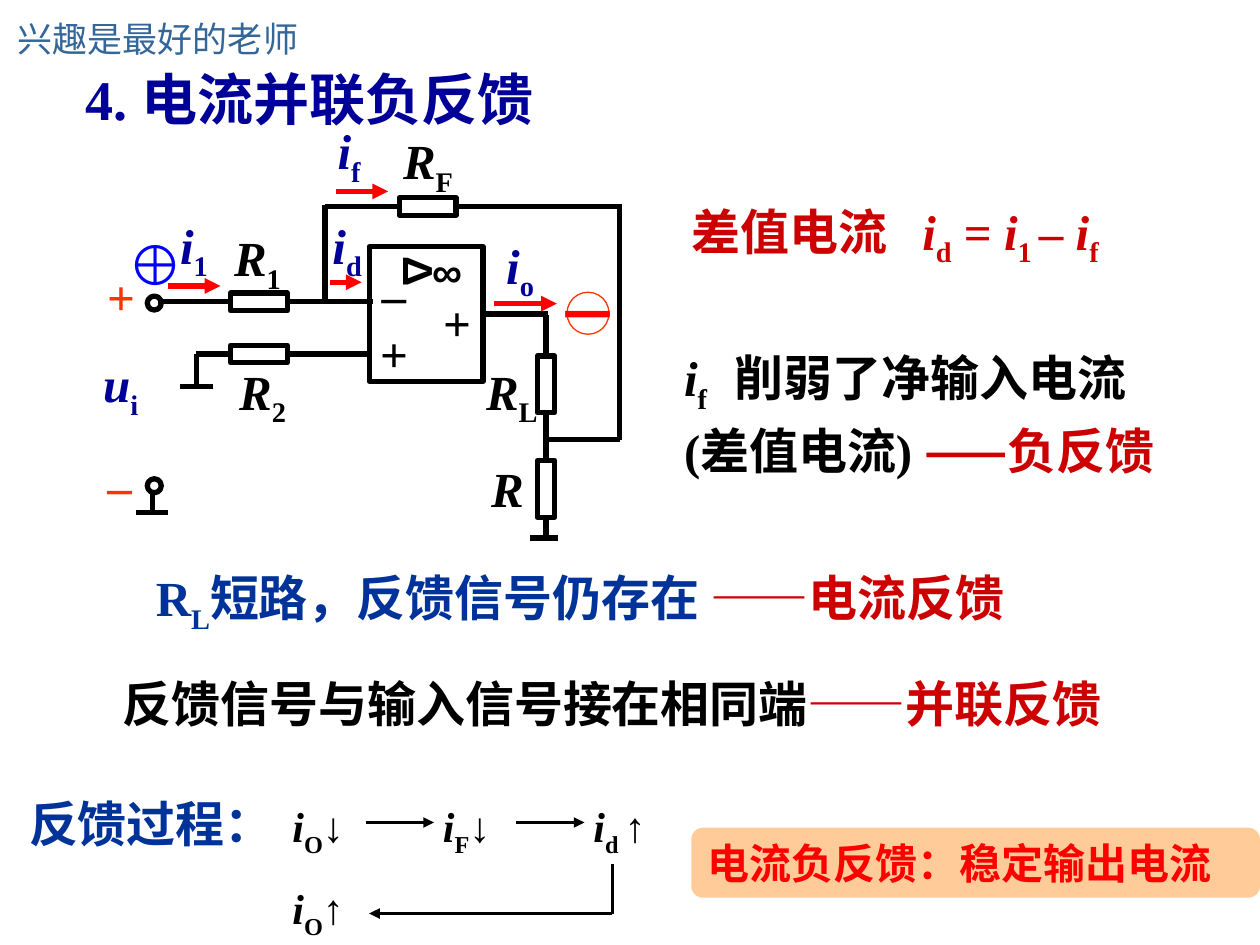
import lxml.etree
import pptx
import pptx.dml.color
import pptx.enum.shapes
import pptx.enum.text
import pptx.util

Pt = pptx.util.Pt
KIND = pptx.enum.shapes.MSO_SHAPE
ALIGN = pptx.enum.text.PP_ALIGN
MID = pptx.enum.text.MSO_ANCHOR.MIDDLE
FIT = pptx.enum.text.MSO_AUTO_SIZE.NONE
NS = "{http://schemas.openxmlformats.org/drawingml/2006/main}"
SERIF, SANS, PLAIN = "Times New Roman", "Noto Sans CJK SC", "Arial"
BLACK, NAVY, BLUE = "000000", "000099", "003399"
RED, DARK, WARM = "FF0000", "CC0000", "FF3300"


def hue(code):
    """Turn a hex string into a colour."""
    return pptx.dml.color.RGBColor.from_string(code)


class Board:
    """Hold the style and the current slide."""

    def __init__(self, deck):
        """Add a slide that has only a title."""
        self.slide = deck.slides.add_slide(deck.slide_layouts[5])
        self.shapes = self.slide.shapes

    def label(self, frame, runs, size=28, color=BLACK, face=SERIF, bold=True,
              align=ALIGN.LEFT, space=None, tab=None, wrap=True):
        """Fill a frame with one paragraph of (text, style, font, colour) runs."""
        frame.word_wrap = wrap
        frame.auto_size = FIT
        para = frame.paragraphs[0]
        para.alignment = align
        if space:
            para.line_spacing = space
        if tab:
            stops = lxml.etree.SubElement(para._p.get_or_add_pPr(), NS + "tabLst")
            lxml.etree.SubElement(stops, NS + "tab", pos=str(Pt(tab)), algn="l")
        para.font.size = Pt(size)
        para.font.bold = bold
        para.font.name = face
        para.font.color.rgb = hue(color)
        for text, style, font, tint in runs:
            run = para.add_run()
            run.text = text
            if style == "it":
                run.font.italic = True
            if style == "sub":
                run._r.get_or_add_rPr().set("baseline", "-25000")
            if font:
                run.font.name = font
            if tint:
                run.font.color.rgb = hue(tint)

    def title(self, x, y, w, h, runs, **look):
        """Place and fill the title."""
        box = self.shapes.title
        box.left, box.top, box.width, box.height = map(Pt, (x, y, w, h))
        box.text_frame.vertical_anchor = MID
        self.label(box.text_frame, runs, **look)

    def text(self, x, y, w, h, runs, **look):
        """Add a text box."""
        box = self.shapes.add_textbox(*map(Pt, (x, y, w, h)))
        self.label(box.text_frame, runs, **look)
        return box

    def sign(self, x, y, w, base, sub="", **look):
        """Add an italic symbol with an index."""
        runs = [run(base, "it")] + ([run(sub, "sub")] if sub else [])
        self.text(x, y, w, 45, runs, **look)

    def shape(self, kind, x, y, w, h, line=BLACK, width=3, fill=None):
        """Add a preset shape."""
        item = self.shapes.add_shape(kind, *map(Pt, (x, y, w, h)))
        item.shadow.inherit = False
        if fill:
            item.fill.solid()
            item.fill.fore_color.rgb = hue(fill)
        else:
            item.fill.background()
        if line:
            item.line.color.rgb = hue(line)
            item.line.width = Pt(width)
        else:
            item.line.fill.background()
        return item

    def wire(self, x1, y1, x2, y2, start=None, stop=None,
             color=BLACK, width=3, arrow=False):
        """Add a line, joined to (shape, side) pairs if given."""
        item = self.shapes.add_connector(
            pptx.enum.shapes.MSO_CONNECTOR.STRAIGHT, *map(Pt, (x1, y1, x2, y2)))
        item.line.color.rgb = hue(color)
        item.line.width = Pt(width)
        if start:
            item.begin_connect(*start)
        if stop:
            item.end_connect(*stop)
        if arrow:
            lxml.etree.SubElement(item.line._get_or_add_ln(), NS + "tailEnd", type="triangle")
        lxml.etree.SubElement(item._element.spPr, NS + "effectLst")


def run(text, style="", font=None, tint=None):
    """Describe a run of text."""
    return text, style, font, tint


def verdict(text):
    """Give the red dash and the conclusion."""
    return [run("——", "", SANS, DARK), run(text, "", None, DARK)]


def circuit(board):
    """Draw the amplifier with its feedback loop."""
    flat, tall = (32.4, 10), (10, 32.4)
    rf, r1, r2, rl, rs = [
        board.shape(KIND.RECTANGLE, x, y, *size) for x, y, size in (
            (228.2, 113, flat), (131.8, 167.5, flat), (131.8, 197.3, flat),
            (307, 203.4, tall), (307, 263.2, tall))]
    amp = board.shape(KIND.RECTANGLE, 211, 141, 65, 77)
    for y in (169.2, 273.6):
        board.shape(KIND.OVAL, 84.2, y, 8, 8)
    for ends, start, stop in (
            ((260.6, 118, 355, 118), (rf, 3), None),
            ((185.8, 118, 228.2, 118), None, (rf, 1)),
            ((354.2, 116.6, 354.2, 251.3), None, None),
            ((185.8, 117, 185.8, 172.5), None, None),
            ((311.8, 251.3, 354.2, 251.3), None, None),
            ((90, 172.5, 131.8, 172.5), None, (r1, 1)),
            ((164.2, 172.5, 213, 172.5), (r1, 3), None),
            ((112.3, 202.3, 131.8, 202.3), None, (r2, 1)),
            ((164.2, 202.3, 212, 202.3), (r2, 3), None),
            ((112.3, 202.3, 112.3, 221), None, None),
            ((103, 221, 121.7, 221), None, None),
            ((87.1, 280, 87.1, 293), None, None),
            ((77.8, 293, 95.8, 293), None, None),
            ((276, 179.5, 313.2, 179.5), (amp, 3), None),
            ((312, 180, 312, 203.4), None, (rl, 0)),
            ((312, 235.8, 312, 263.2), (rl, 2), (rs, 0)),
            ((312, 295.6, 312, 307.4), (rs, 2), None),
            ((303.1, 307.4, 319, 307.4), None, None)):
        board.wire(*ends, start, stop)
    for x, y, end in ((282.2, 173.5, 318.2), (95.8, 163.4, 126),
                      (192.2, 109.4, 221.8), (188.6, 161.3, 206.6)):
        board.wire(x, y, end, y, color=RED, arrow=True)
    for x, y, w, sub, wrap in ((223.2, 71.3, 70.6, "F", True), (126.7, 126.7, 41, "1", False),
                               (129.6, 203, 44, "2", True), (270.7, 203, 44, "L", False),
                               (273.6, 258.5, 44, "", True)):
        board.sign(x, y, w, "R", sub, wrap=wrap)
    for x, y, base, sub in ((282.2, 131, "i", "o"), (95.8, 119.5, "i", "1"),
                            (185.8, 65.5, "i", "f"), (182.9, 119.5, "i", "d"),
                            (51.8, 198.7, "u", "i")):
        board.sign(x, y, 48, base, sub, color=NAVY)
    for x, y, w, mark, color, align, wrap in (
            (54, 149, 30.2, "+", WARM, ALIGN.CENTER, False),
            (54, 257, 28.8, "–", WARM, ALIGN.CENTER, True),
            (210.2, 181.4, 28.1, "+", BLACK, ALIGN.LEFT, True),
            (246.2, 163.4, 50.4, "+", BLACK, ALIGN.LEFT, True),
            (211, 147.6, 41, "–", BLACK, ALIGN.LEFT, True)):
        board.text(x, y, w, 41, [run(mark)], color=color, align=align, wrap=wrap)
    board.text(239.8, 136.8, 65.5, 36, [run("∞")], size=24, face=PLAIN)
    gain = board.text(225.4, 137.5, 28.8, 36, [run("Δ")], size=24, face=PLAIN,
                      align=ALIGN.CENTER, wrap=False)
    gain.rotation = 90
    board.text(65.5, 127.4, 39.6, 46, [run("⊕")], size=32, color="0000FF",
               face=PLAIN, wrap=False)
    minus = board.shape(KIND.OVAL, 324, 167, 24, 24, WARM, 0.75)
    minus.text_frame.vertical_anchor = MID
    board.label(minus.text_frame, [run("－")], size=36, color=RED,
                align=ALIGN.CENTER, wrap=False)


def notes(board):
    """Set the analysis beside and below the circuit."""
    board.text(388, 111.6, 283, 45, [
        run("差值电流\t"), run("i", "it"), run("d", "sub"), run(" = "), run("i", "it"),
        run("1 ", "sub"), run("– "), run("i", "it"), run("f", "sub")], color=DARK, tab=132)
    board.text(383.8, 191.5, 300.2, 123, [
        run("i", "it"), run("f", "sub"), run("\t削弱了净输入电流(差值电流) ")]
        + verdict("负反馈"), space=1.1, tab=29)
    board.text(82, 321, 561.6, 45, [
        run("R"), run("L", "sub"), run("短路，反馈信号仍存在 ")]
        + verdict("电流反馈"), color=BLUE)
    board.text(63, 378, 616, 45, [run("反馈信号与输入信号接在相同端")]
               + verdict("并联反馈"), space=1.1)


def process(board):
    """Draw the chain of changes and its result."""
    board.text(9.5, 450, 156, 41, [run("反馈过程：")], color=BLUE, face=SANS)
    for x, y, sub, way in ((160, 450.7, "O", "↓"), (246, 450.7, "F", "↓"),
                           (332, 450.7, "d ", "↑"), (160, 497.5, "O", "↑")):
        board.text(x, y, 62, 43, [run("i", "it"), run(sub, "sub"), run(way, "", PLAIN)],
                   size=24, align=ALIGN.JUSTIFY, space=1.1)
    for x in (209, 295):
        board.wire(x, 470, x + 39, 470, width=2, arrow=True)
    board.wire(350, 522, 211, 522, width=2, arrow=True)
    board.wire(350, 522, 350, 494, width=2)
    result = board.shape(KIND.FLOWCHART_ALTERNATE_PROCESS, 395, 473, 325, 40,
                         line=None, fill="FFCC99")
    result.text_frame.vertical_anchor = MID
    board.label(result.text_frame, [run("电流负反馈：稳定输出电流")], size=24, color=RED)


def main():
    """Build and save the slide."""
    deck = pptx.Presentation()
    deck.slide_width, deck.slide_height = Pt(720), Pt(540)
    board = Board(deck)
    board.text(3, 6.5, 162, 23, [run("兴趣是最好的老师")], size=20, color="336699",
               face=SANS, bold=False, wrap=False)
    board.title(41.8, 35.3, 426, 42, [run("4. "), run("电流并联负反馈", "", SANS)],
                size=32, color=NAVY)
    circuit(board)
    notes(board)
    process(board)
    deck.save("out.pptx")


if __name__ == "__main__":
    main()
